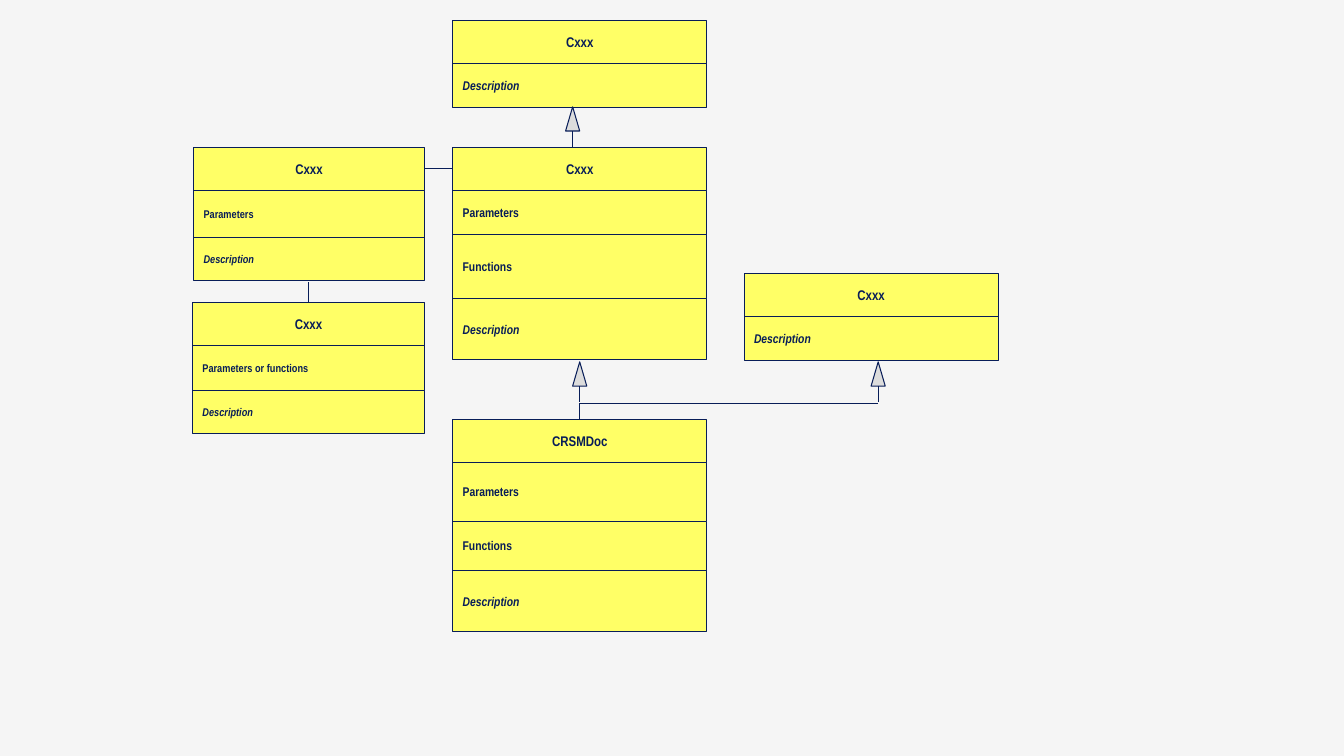
from pptx import Presentation
from pptx.dml.color import RGBColor
from pptx.enum import shapes, text
from pptx.oxml.ns import qn
from pptx.util import Inches, Pt
from lxml import etree

BACKGROUND = RGBColor(0xF5, 0xF5, 0xF5)
YELLOW = RGBColor(0xFF, 0xFF, 0x66)
NAVY = RGBColor(0x08, 0x1D, 0x58)
GREY = RGBColor(0xDC, 0xDC, 0xDC)
FONT = "Arial Narrow"
TOP, LEFT, BOTTOM, RIGHT = range(4)


def add_outlined_shape(slide, kind, left, top, width, height, color):
    shape = slide.shapes.add_shape(
        kind, Inches(left), Inches(top), Inches(width), Inches(height))
    shape.shadow.inherit = False
    shape.fill.solid()
    shape.fill.fore_color.rgb = color
    shape.line.color.rgb = NAVY
    shape.line.width = Pt(0.75)
    return shape


def add_class_box(slide, left, top, width, name, sections, size=9):
    """Stack a name cell and (label, height) sections; return all cells."""
    cells = []
    for label, height in [(name, 0.43)] + sections:
        cell = add_outlined_shape(slide, shapes.MSO_SHAPE.RECTANGLE,
                                  left, top, width, height, YELLOW)
        is_name = not cells
        frame = cell.text_frame
        frame.word_wrap = True
        frame.vertical_anchor = text.MSO_ANCHOR.MIDDLE
        paragraph = frame.paragraphs[0]
        paragraph.text = label
        paragraph.alignment = text.PP_ALIGN.CENTER if is_name else text.PP_ALIGN.LEFT
        font = paragraph.font
        font.name = FONT
        font.size = Pt(10 if is_name else size)
        font.bold = True
        font.italic = label == "Description"
        font.color.rgb = NAVY
        cells.append(cell)
        top += height
    return cells


def add_line(slide, start, end, begin=None, finish=None):
    """Draw a line; begin and finish are optional (cell, side) joints."""
    line = slide.shapes.add_connector(
        shapes.MSO_CONNECTOR.STRAIGHT, *map(Inches, start + end))
    line.line.color.rgb = NAVY
    line.line.width = Pt(0.75)
    etree.SubElement(line._element.spPr, qn("a:effectLst"))
    if begin:
        line.begin_connect(*begin)
    if finish:
        line.end_connect(*finish)


def add_inheritance_arrow(slide, center, top, stem=0.16):
    width, height = 0.14, 0.24
    add_outlined_shape(slide, shapes.MSO_SHAPE.ISOSCELES_TRIANGLE,
                       center - width / 2, top, width, height, GREY)
    add_line(slide, (center, top + height), (center, top + height + stem))


def main():
    presentation = Presentation()
    presentation.slide_width = Inches(13.33)
    presentation.slide_height = Inches(7.5)
    slide = presentation.slides.add_slide(presentation.slide_layouts[6])
    slide.background.fill.solid()
    slide.background.fill.fore_color.rgb = BACKGROUND

    add_class_box(slide, 4.49, 0.205, 2.52, "Cxxx", [("Description", 0.43)])
    central = add_class_box(slide, 4.49, 1.46, 2.52, "Cxxx", [
        ("Parameters", 0.44), ("Functions", 0.63), ("Description", 0.61)])
    add_class_box(slide, 7.38, 2.715, 2.52, "Cxxx", [("Description", 0.43)])
    document = add_class_box(slide, 4.49, 4.16, 2.52, "CRSMDoc", [
        ("Parameters", 0.58), ("Functions", 0.49), ("Description", 0.61)])
    lower_left = add_class_box(slide, 1.91, 3, 2.3, "Cxxx", [
        ("Parameters or functions", 0.44), ("Description", 0.43)], size=8)
    upper_left = add_class_box(slide, 1.92, 1.46, 2.29, "Cxxx", [
        ("Parameters", 0.47), ("Description", 0.42)], size=8)

    add_inheritance_arrow(slide, 5.68, 1.06)
    add_inheritance_arrow(slide, 5.75, 3.59)
    add_inheritance_arrow(slide, 8.71, 3.59)
    add_line(slide, (5.75, 4), (8.71, 4))
    add_line(slide, (5.75, 4), (5.75, 4.16), finish=(document[0], TOP))
    add_line(slide, (3.06, 2.8), (3.06, 3), finish=(lower_left[0], TOP))
    add_line(slide, (4.21, 1.68), (4.49, 1.68),
             begin=(upper_left[0], RIGHT), finish=(central[0], LEFT))

    presentation.save("out.pptx")


if __name__ == "__main__":
    main()
